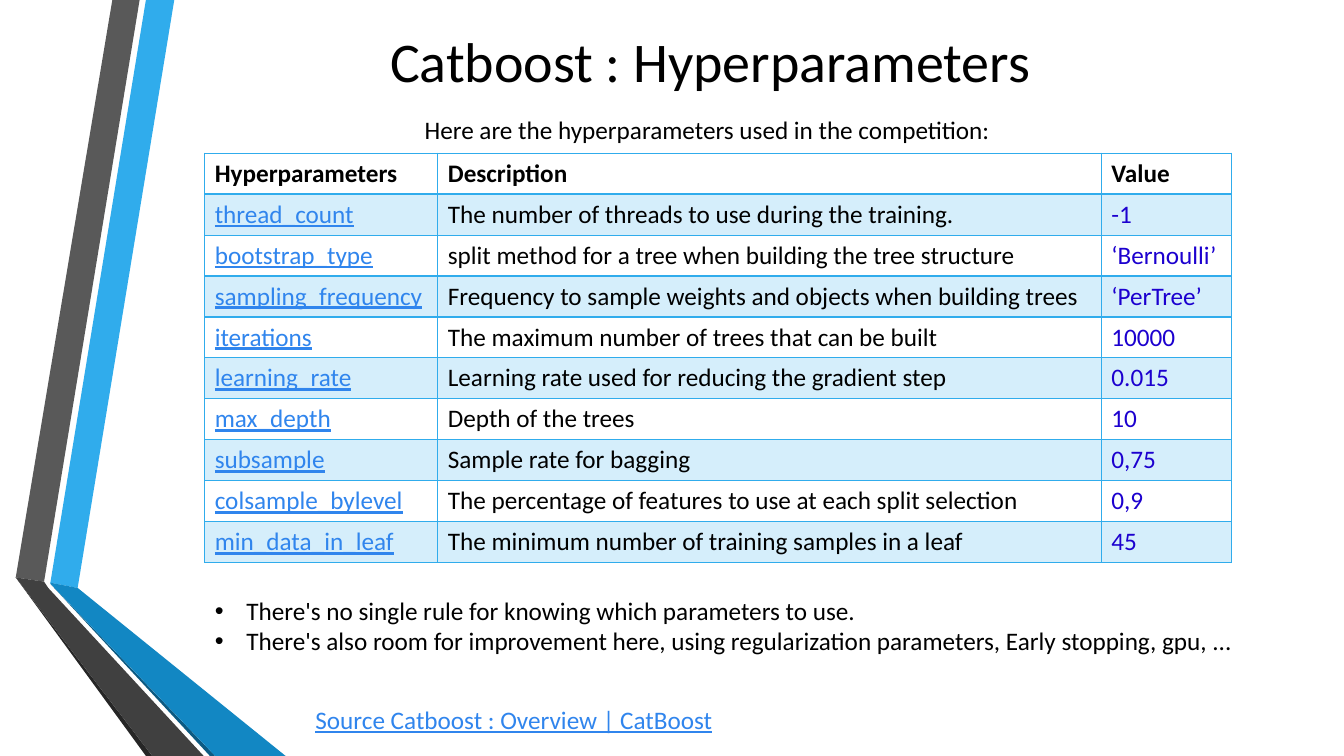
from dataclasses import dataclass
from typing import NamedTuple

from lxml import etree
from pptx import Presentation
from pptx import util as u
from pptx.dml.color import RGBColor
from pptx.enum import text
from pptx.oxml import ns

PX = 9525  # EMU in one px, 96 px to the inch
FONT = "Calibri"
COLORS = {
    "black": "000000",
    "sky": "30ACEC",
    "blue": "1287C3",
    "navy": "0C5A82",
    "grey": "595959",
    "dark grey": "404040",
    "near black": "262626",
    "link": "3085ED",
    "value": "1C00CF",
}


class Box(NamedTuple):
    left: int
    top: int
    width: int
    height: int

    def emu(self) -> list[int]:
        return [length * PX for length in self]


@dataclass
class Ribbon:
    color: str
    points: list[tuple[int, int]]


class Parameter(NamedTuple):
    name: str
    description: str
    value: str


RIBBONS = [
    Ribbon("sky", [(48, 555), (74, 560), (166, 0), (139, 0)]),
    Ribbon("grey", [(133, 0), (107, 0), (15, 550), (42, 554)]),
    Ribbon("near black", [(15, 550), (139, 720), (145, 720)]),
    Ribbon("navy", [(48, 556), (200, 720), (205, 720)]),
    Ribbon("blue", [(48, 555), (48, 556), (205, 720), (272, 720), (74, 560)]),
    Ribbon("dark grey", [(194, 720), (46, 560), (42, 554), (15, 550), (145, 720)]),
]
HEADER = Parameter("Hyperparameters", "Description", "Value")
PARAMETERS = [
    Parameter("thread_count", "The number of threads to use during the training.", "-1"),
    Parameter("bootstrap_type", "split method for a tree when building the tree structure", "‘Bernoulli’"),
    Parameter("sampling_frequency", "Frequency to sample weights and objects when building trees", "‘PerTree’"),
    Parameter("iterations", "The maximum number of trees that can be built", "10000"),
    Parameter("learning_rate", "Learning rate used for reducing the gradient step", "0.015"),
    Parameter("max_depth", "Depth of the trees", "10"),
    Parameter("subsample", "Sample rate for bagging", "0,75"),
    Parameter("colsample_bylevel", "The percentage of features to use at each split selection", "0,9"),
    Parameter("min_data_in_leaf", "The minimum number of training samples in a leaf", "45"),
]
REMARKS = [
    "There's no single rule for knowing which parameters to use.",
    "There's also room for improvement here, using regularization parameters, Early stopping, gpu, ...",
]
COLUMN_WIDTHS = [222, 632, 124]
COLUMN_COLORS = ["black", "link", "value"]
ROW_HEIGHT = 39


def rgb(color: str) -> RGBColor:
    return RGBColor.from_string(COLORS[color])


def write(paragraph, words: str, *, size: int = 18, color: str = "black", bold: bool = False,
          underline: bool = False, align=text.PP_ALIGN.LEFT) -> None:
    paragraph.alignment = align
    paragraph.space_before = u.Pt(0)
    run = paragraph.add_run()
    run.text = words
    font = run.font
    font.name, font.size, font.bold, font.underline = FONT, u.Pt(size), bold, underline
    font.color.rgb = rgb(color)


def place(shape, box: Box) -> None:
    shape.left, shape.top, shape.width, shape.height = box.emu()


def add_text(slide, box: Box, words: str, **formats) -> None:
    frame = slide.shapes.add_textbox(*box.emu()).text_frame
    frame.word_wrap = True
    write(frame.paragraphs[0], words, **formats)


def add_ribbon(slide, ribbon: Ribbon) -> None:
    builder = slide.shapes.build_freeform(*ribbon.points[0], scale=PX)
    builder.add_line_segments(ribbon.points[1:], close=True)
    shape = builder.convert_to_shape()
    shape.shadow.inherit = False
    shape.fill.solid()
    shape.fill.fore_color.rgb = rgb(ribbon.color)
    shape.line.fill.background()


def add_bullet(paragraph, indent: int) -> None:
    properties = paragraph._p.get_or_add_pPr()
    properties.set("marL", str(indent * PX))
    properties.set("indent", str(-indent * PX))
    etree.SubElement(properties, ns.qn("a:buFont")).set("typeface", "Arial")
    etree.SubElement(properties, ns.qn("a:buChar")).set("char", "•")


def paint_cell(cell, banded: bool) -> None:
    if not banded:
        cell.fill.background()
        return
    cell.fill.solid()
    cell.fill.fore_color.rgb = rgb("sky")
    color = cell._tc.tcPr.find(".//" + ns.qn("a:srgbClr"))
    etree.SubElement(color, ns.qn("a:alpha")).set("val", "20000")


def border_cell(cell, top: int, bottom: int) -> None:
    widths = {"a:lnL": 1, "a:lnR": 1, "a:lnT": top, "a:lnB": bottom}
    for position, (side, width) in enumerate(widths.items()):
        line = etree.Element(ns.qn(side), w=str(u.Pt(width)))
        fill = etree.SubElement(line, ns.qn("a:solidFill"))
        etree.SubElement(fill, ns.qn("a:srgbClr")).set("val", COLORS["sky"])
        cell._tc.get_or_add_tcPr().insert(position, line)


def add_parameter_table(slide, left: int, top: int) -> None:
    rows = [HEADER, *PARAMETERS]
    box = Box(left, top, sum(COLUMN_WIDTHS), ROW_HEIGHT * len(rows))
    table = slide.shapes.add_table(len(rows), len(HEADER), *box.emu()).table
    table.horz_banding = False
    for column, width in zip(table.columns, COLUMN_WIDTHS):
        column.width = width * PX
    for row_index, parameter in enumerate(rows):
        table.rows[row_index].height = ROW_HEIGHT * PX
        header = row_index == 0
        for column_index, words in enumerate(parameter):
            cell = table.cell(row_index, column_index)
            is_name = column_index == 0 and not header
            color = "black" if header else ("link", "black", "value")[column_index]
            write(cell.text_frame.paragraphs[0], words, color=color, bold=header, underline=is_name)
            paint_cell(cell, banded=row_index % 2 == 1)
            border_cell(cell, top=2 if row_index == 1 else 1, bottom=2 if header else 1)


def main() -> None:
    presentation = Presentation()
    presentation.slide_width, presentation.slide_height = 1280 * PX, 720 * PX
    slide = presentation.slides.add_slide(presentation.slide_layouts[1])
    title, remarks = slide.placeholders

    # Ribbons on the left edge
    for ribbon in RIBBONS:
        add_ribbon(slide, ribbon)

    # Title and caption
    place(title, Box(257, 15, 839, 85))
    title.text_frame.vertical_anchor = text.MSO_ANCHOR.MIDDLE
    write(title.text_frame.paragraphs[0], "Catboost : Hyperparameters", size=40, align=text.PP_ALIGN.CENTER)
    add_text(slide, Box(395, 104, 575, 38), "Here are the hyperparameters used in the competition:")

    # Table of hyperparameters
    add_parameter_table(slide, 195, 146)

    # Remarks
    place(remarks, Box(195, 562, 1019, 68))
    frame = remarks.text_frame
    frame.auto_size = text.MSO_AUTO_SIZE.NONE
    for index, words in enumerate(REMARKS):
        paragraph = frame.add_paragraph() if index else frame.paragraphs[0]
        write(paragraph, words)
        add_bullet(paragraph, 30)

    # Source
    add_text(slide, Box(291, 666, 433, 38), "Source Catboost : Overview | CatBoost", color="link", underline=True)

    presentation.save("out.pptx")


if __name__ == "__main__":
    main()
